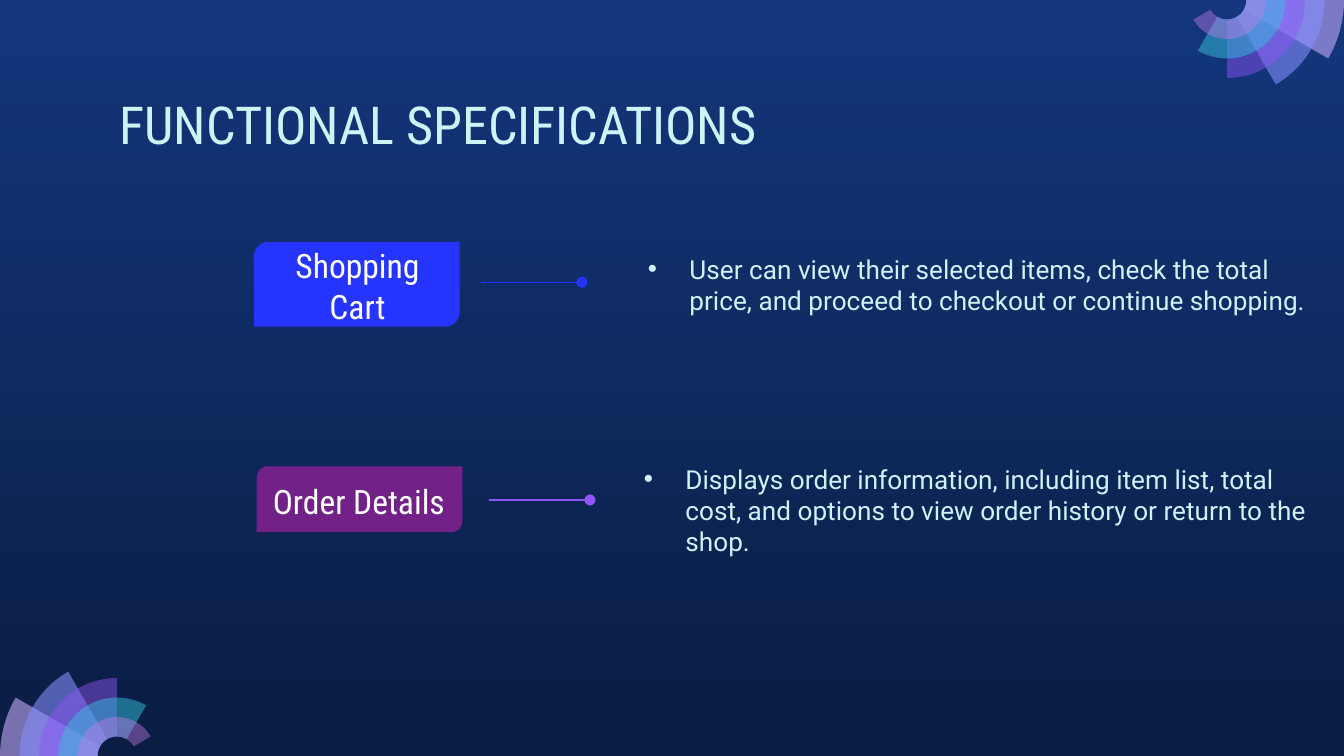
from math import cos, radians, sin, tan

from lxml.etree import SubElement
from pptx import Presentation
from pptx.dml.color import RGBColor
from pptx.enum.shapes import MSO_CONNECTOR, MSO_SHAPE
from pptx.enum.text import MSO_ANCHOR, PP_ALIGN
from pptx.oxml.ns import qn
from pptx.util import Inches, Pt

COLORS = {
    "top": "13367C", "bottom": "0A1D42", "text": "CEF3F5", "white": "FFFFFF",
    "blue": "2534FF", "plum": "712187", "violet": "9154F8",
    "lilac": "C8ACFD", "periwinkle": "878FFF", "cyan": "35C2DF", "orchid": "CA7BEB",
}
WIDTH, HEIGHT = 10, 5.625
RING = 0.145
FAN = [("lilac", 58), ("periwinkle", 58), ("violet", 46), ("cyan", 49), ("orchid", 42)]
ROWS = [
    dict(box=(1.89, 1.8, 1.53, 0.63), fill="blue", label="Shopping Cart",
         label_box=(0.13, 0.11, 1.28, 0.43),
         line=(1.69, 0.3), line_color="blue", line_width=0.75,
         body="User can view their selected items, check the total price, "
              "and proceed to checkout or continue shopping.",
         body_box=(2.63, -0.73, 5.68, 2.09)),
    dict(box=(1.91, 3.47, 1.53, 0.49), fill="plum", label="Order Details",
         label_box=(-0.08, 0.01, 1.68, 0.49),
         line=(1.73, 0.25), line_color="violet", line_width=1.5,
         body="Displays order information, including item list, total cost, "
              "and options to view order history or return to the shop.",
         body_box=(2.58, -0.65, 5.68, 1.95)),
]


def rgb(name):
    return RGBColor.from_string(COLORS[name])


def add_text(s, text, box, size=14, font="Roboto", color="text", align=PP_ALIGN.LEFT,
             anchor=MSO_ANCHOR.MIDDLE, side=0.1, bullet=False):
    tf = s.shapes.add_textbox(*map(Inches, box)).text_frame
    tf.word_wrap = True
    tf.vertical_anchor = anchor
    tf.margin_left = tf.margin_right = Inches(side)
    tf.margin_top = tf.margin_bottom = Inches(0.1)
    p = tf.paragraphs[0]
    p.alignment = align
    r = p.add_run()
    r.text = text
    r.font.size = Pt(size)
    r.font.name = font
    r.font.color.rgb = rgb(color)
    if bullet:
        pPr = p._p.get_or_add_pPr()
        pPr.set("marL", str(Inches(0.31)))
        pPr.set("indent", str(-Inches(0.31)))
        clr = SubElement(pPr, qn("a:buClr"))
        SubElement(clr, qn("a:srgbClr"), val=COLORS[color])
        SubElement(pPr, qn("a:buFont"), typeface="Arial")
        SubElement(pPr, qn("a:buChar"), char="•")


def fill_shape(sp, color, alpha=None):
    sp.shadow.inherit = False
    sp.fill.solid()
    sp.fill.fore_color.rgb = rgb(color)
    sp.line.fill.background()
    if alpha is not None:
        clr = sp._element.spPr.find(qn("a:solidFill")).find(qn("a:srgbClr"))
        SubElement(clr, qn("a:alpha"), val=str(alpha * 1000))


def polar(cx, cy, radius, angle):
    a = radians(angle)
    return Inches(cx + radius * cos(a)), Inches(cy + radius * sin(a))


def bend(segment, sp, radius, start, end):
    k = Inches(radius) * 4 / 3 * tan(radians(end - start) / 4)
    a, b = radians(start), radians(end)
    x, y = Inches(radius) * cos(a), Inches(radius) * sin(a)
    u, v = Inches(radius) * cos(b), Inches(radius) * sin(b)
    last = segment.find(qn("a:pt"))
    ox, oy = int(last.get("x")) - u, int(last.get("y")) - v
    for px, py in ((x - k * sin(a), y + k * cos(a)), (u + k * sin(b), v - k * cos(b))):
        pt = SubElement(segment, qn("a:pt"), x=str(round(ox + px)), y=str(round(oy + py)))
        last.addprevious(pt)


def add_sector(s, cx, cy, radius, start, sweep, color, alpha):
    angles = [start + a for a in sorted({0, min(90, sweep), sweep})]
    back = angles[::-1]
    outer = [polar(cx, cy, radius, a) for a in angles]
    inner = [polar(cx, cy, RING, a) for a in back]
    builder = s.shapes.build_freeform(*outer[0])
    builder.add_line_segments(outer[1:] + inner, close=True)
    sp = builder.convert_to_shape()
    arcs = [(radius, a, b) for a, b in zip(angles, angles[1:])]
    arcs += [None] + [(RING, a, b) for a, b in zip(back, back[1:])]
    for line, arc in zip(list(sp._element.iter(qn("a:lnTo"))), arcs):
        if arc:
            curve = line.makeelement(qn("a:cubicBezTo"))
            curve.append(line.find(qn("a:pt")))
            line.getparent().replace(line, curve)
            bend(curve, sp, *arc)
    fill_shape(sp, color, alpha)


def add_fan(s, cx, cy, start):
    for i, (color, alpha) in enumerate(FAN):
        add_sector(s, cx, cy, RING * (6 - i), start, 30 * (i + 1), color, alpha)


def add_pointer(s, x, y, color, width):
    line = s.shapes.add_connector(MSO_CONNECTOR.STRAIGHT, Inches(x), Inches(y),
                                  Inches(x + 0.75), Inches(y))
    line.line.color.rgb = rgb(color)
    line.line.width = Pt(width)
    spPr = line._element.spPr
    SubElement(spPr.find(qn("a:ln")), qn("a:tailEnd"), type="oval")
    SubElement(spPr, qn("a:effectLst"))


def add_row(s, row):
    x, y, w, h = row["box"]

    def place(box):
        dx, dy, *size = box
        return (x + dx, y + dy, *size)

    sp = s.shapes.add_shape(MSO_SHAPE.ROUND_2_DIAG_RECTANGLE,
                            *map(Inches, (x, y, w, h)))
    fill_shape(sp, row["fill"])
    add_text(s, row["label"], place(row["label_box"]), size=18,
             font="Roboto Condensed", color="white", align=PP_ALIGN.CENTER)
    add_pointer(s, *place(row["line"]), row["line_color"], row["line_width"])
    add_text(s, row["body"], place(row["body_box"]), side=0.3, bullet=True)


def add_background(s):
    fill = s.background.fill
    fill.gradient()
    fill.gradient_angle = 270
    for stop, position, color in zip(fill.gradient_stops, (0, 1), ("top", "bottom")):
        stop.position = position
        stop.color.rgb = rgb(color)


def main():
    prs = Presentation()
    prs.slide_width, prs.slide_height = Inches(WIDTH), Inches(HEIGHT)
    s = prs.slides.add_slide(prs.slide_layouts[6])
    add_background(s)
    add_fan(s, 6 * RING, HEIGHT, 180)
    add_fan(s, WIDTH - 6 * RING, 0, 0)
    add_text(s, "FUNCTIONAL SPECIFICATIONS", (0.79, 0.59, 8.43, 0.63), size=28,
             font="Roboto Condensed", anchor=MSO_ANCHOR.TOP)
    for row in ROWS:
        add_row(s, row)
    prs.save("out.pptx")


if __name__ == "__main__":
    main()
